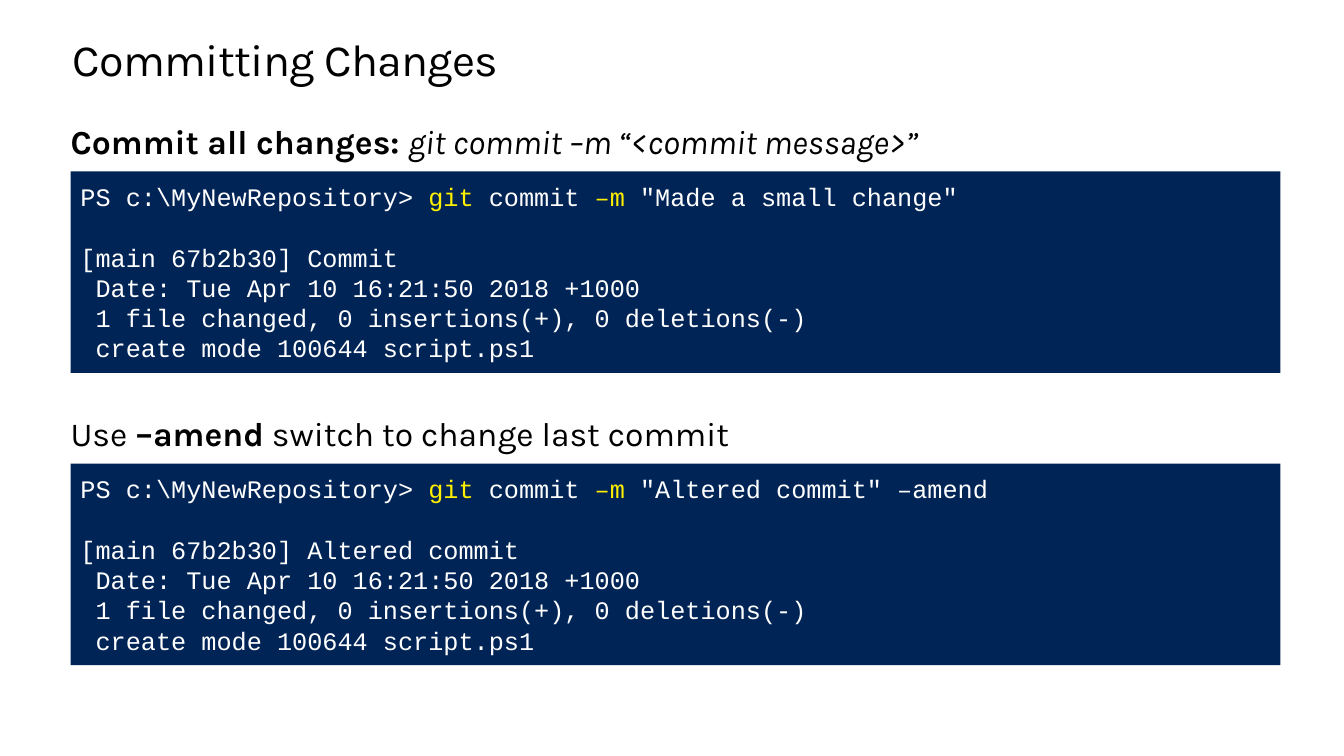
from pptx import Presentation
from pptx.dml.color import RGBColor
from pptx.enum.shapes import MSO_SHAPE
from pptx.enum.text import MSO_ANCHOR, MSO_AUTO_SIZE, PP_ALIGN
from pptx.oxml.xmlchemy import OxmlElement
from pptx.util import Inches, Pt

BLACK, WHITE, NAVY, YELLOW = "000000", "FFFFFF", "012456", "FEF000"
LEFT, WIDTH = 0.7, 12
CONSOLE_PITCH = Pt(21.6)


def paint(color_format, color):
    """Set a colour from a hex string."""
    color_format.rgb = RGBColor.from_string(color)


def place(shape, left, top, width, height):
    """Position a shape, in inches."""
    shape.left, shape.top = Inches(left), Inches(top)
    shape.width, shape.height = Inches(width), Inches(height)


def prepare_frame(shape, inset, anchor=MSO_ANCHOR.TOP):
    """Set wrapping, insets and anchor, and return the text frame."""
    frame = shape.text_frame
    frame.word_wrap = True
    frame.auto_size = MSO_AUTO_SIZE.NONE
    frame.vertical_anchor = anchor
    frame.margin_left = frame.margin_right = Inches(inset)
    frame.margin_top = frame.margin_bottom = Inches(inset)
    return frame


def format_paragraph(paragraph, font_name, size, color):
    """Left-align a paragraph and set its font."""
    paragraph.alignment = PP_ALIGN.LEFT
    paragraph.space_before = Pt(0)
    paragraph.font.name = font_name
    paragraph.font.size = Pt(size)
    paragraph.font.bold = False
    paint(paragraph.font.color, color)


def fill_title(title, text):
    """Write the slide title."""
    place(title, 0.72, 0.35, 11.9, 0.5)
    paragraph = prepare_frame(title, 0, MSO_ANCHOR.MIDDLE).paragraphs[0]
    run = paragraph.add_run()
    run.text = text
    run.font._element.set("spc", "-50")
    format_paragraph(paragraph, "Karla", 32, BLACK)
    paragraph.line_spacing = Pt(36.2)


def fill_heading(shape, top, height, parts):
    """Write a heading from (text, style) parts without a bullet."""
    place(shape, LEFT, top, WIDTH, height)
    paragraph = prepare_frame(shape, 0).paragraphs[0]
    properties = paragraph._p.get_or_add_pPr()
    properties.set("marL", "0")
    properties.set("indent", "0")
    properties.append(OxmlElement("a:buNone"))
    format_paragraph(paragraph, "Karla", 24, BLACK)
    for text, style in parts:
        run = paragraph.add_run()
        run.text = text
        run.font.bold = style == "bold"
        run.font.italic = style == "italic"


def add_console(slide, top, arguments, result):
    """Add a console panel with a commit command and its output."""
    panel = slide.shapes.add_shape(
        MSO_SHAPE.RECTANGLE, Inches(LEFT), Inches(top), Inches(WIDTH), Inches(2))
    panel.shadow.inherit = False
    panel.fill.solid()
    paint(panel.fill.fore_color, NAVY)
    panel.line.fill.background()
    frame = prepare_frame(panel, 0.1, MSO_ANCHOR.MIDDLE)
    command = [("PS c:\\MyNewRepository> ", WHITE), ("git", YELLOW),
               (" commit ", WHITE), ("–m ", YELLOW), (arguments, WHITE)]
    output = [result, " Date: Tue Apr 10 16:21:50 2018 +1000",
              " 1 file changed, 0 insertions(+), 0 deletions(-)",
              " create mode 100644 script.ps1"]
    lines = [command] + [[(text, WHITE)] for text in output]
    for index, parts in enumerate(lines):
        paragraph = frame.add_paragraph() if index else frame.paragraphs[0]
        format_paragraph(paragraph, "Courier New", 18, WHITE)
        paragraph.line_spacing = CONSOLE_PITCH
        if index == 1:
            paragraph.space_before = CONSOLE_PITCH
        for text, color in parts:
            run = paragraph.add_run()
            run.text = text
            if color != WHITE:
                paint(run.font.color, color)


def main():
    """Build and save the slide."""
    presentation = Presentation()
    presentation.slide_width = Inches(13.33)
    presentation.slide_height = Inches(7.5)
    slide = presentation.slides.add_slide(presentation.slide_layouts[1])

    fill_title(slide.shapes.title, "Committing Changes")
    fill_heading(slide.placeholders[1], 1.2, 0.5,
                 [("Commit all changes: ", "bold"),
                  ("git commit –m “<commit message>”", "italic")])
    add_console(slide, 1.7, '"Made a small change"', "[main 67b2b30] Commit")

    amend_heading = slide.shapes.add_textbox(0, 0, 0, 0)
    fill_heading(amend_heading, 4.1, 0.4,
                 [("Use ", "plain"), ("–amend", "bold"),
                  (" switch to change last commit", "plain")])
    add_console(slide, 4.6, '"Altered commit" –amend',
                "[main 67b2b30] Altered commit")

    presentation.save("out.pptx")


if __name__ == "__main__":
    main()
